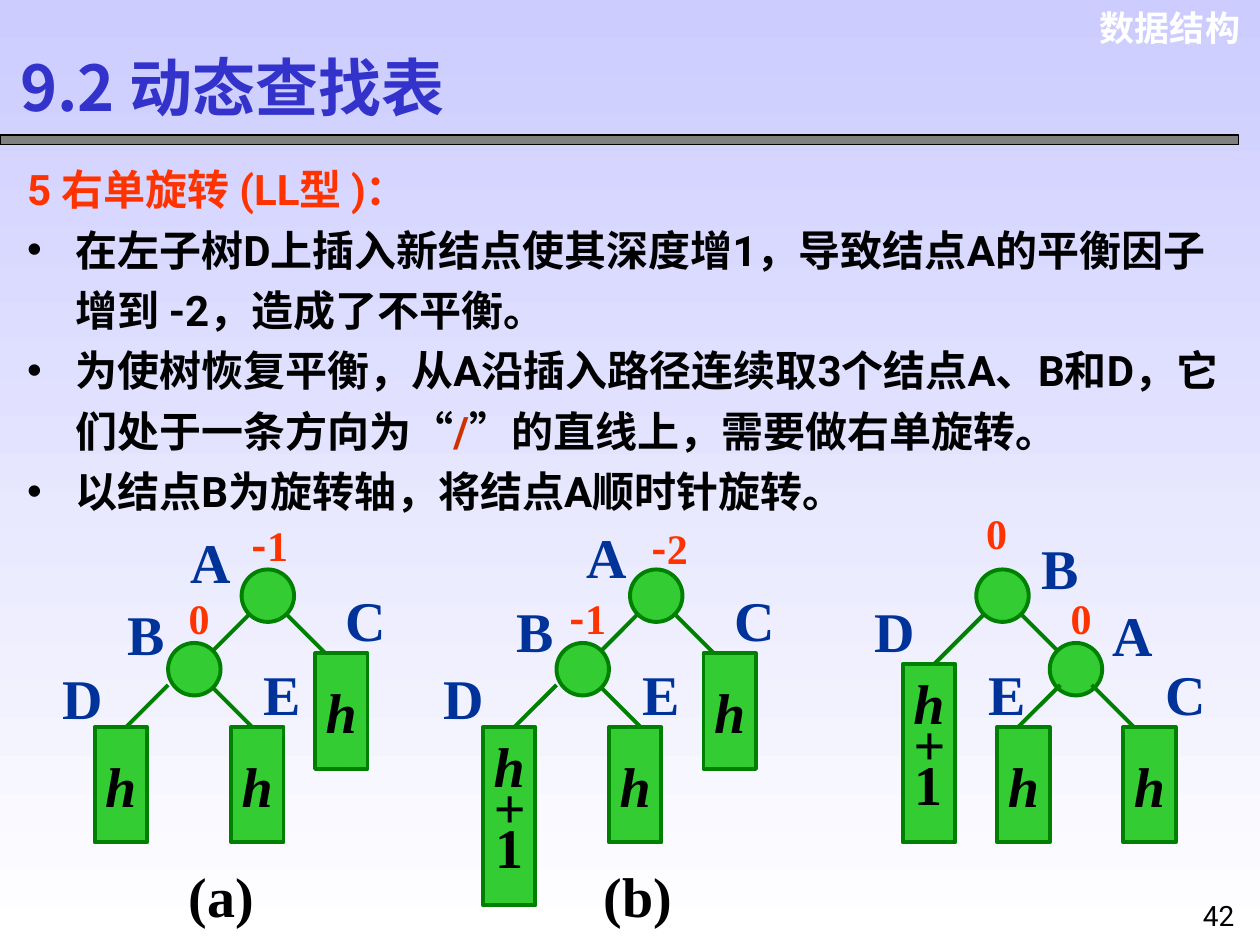
from collections import namedtuple
from dataclasses import dataclass

from lxml.etree import SubElement
from pptx import Presentation
from pptx.dml.color import RGBColor as RGB
from pptx.enum.shapes import MSO_CONNECTOR as Link, MSO_SHAPE as Kind
from pptx.enum.text import MSO_ANCHOR as Anchor, MSO_AUTO_SIZE as Fit, PP_ALIGN as Align
from pptx.oxml.ns import qn
from pptx.util import Cm, Pt


@dataclass(frozen=True)
class Theme:
    sky: str = "CCCCFF"
    white: str = "FFFFFF"
    black: str = "000000"
    title: str = "3333CC"
    bar: str = "808080"
    node: str = "33CC33"
    edge: str = "008000"
    name: str = "003399"
    alert: str = "FF3300"
    slash: str = "CC3300"
    sans: str = "Roboto"
    serif: str = "Times New Roman"
    han: str = "Noto Sans CJK SC"
    head: str = "Arial"
    big: int = 36
    mid: int = 32
    text: int = 24
    small: int = 20
    page: int = 16


T = Theme()
Box = namedtuple("Box", "x y w h")
Tree = namedtuple("Tree", "nodes leaves under over names marks")
UNIT = 2.54 / 12  # grid step of the trees, in cm
NODE = 5  # node and leaf width, in grid steps

# Nodes, leaves and links are in grid steps from the root's corner,
# names and marks in cm from the same corner.
TREES = (
    (Box(1.5, 10.11, 7.8, 8.2), Tree(
        nodes=[(0, 0), (-7, 7)],
        leaves=[(7, 8, "h"), (-14, 15, "h"), (-1, 15, "h")],
        under=[(3, 3, 9, 9), (2, 3, -3, 8), (-7, 11, -12, 16), (-3, 11, 3, 17)],
        over=[],
        names=[("A", -1.27, -0.97), ("B", -2.54, 0.48), ("C", 1.85, 0.2),
               ("D", -3.86, 1.78), ("E", 0.2, 1.7)],
        marks=[("-1", -0.05, -1.14), ("0", -1.32, 0.33)])),
    (Box(9.33, 10.11, 7.8, 8.2), Tree(
        nodes=[(0, 0), (-7, 7)],
        leaves=[(7, 8, "h"), (-14, 15, "h+1"), (-2, 15, "h")],
        under=[(4, 4, 10, 10), (1, 4, -4, 9), (-7, 11, -12, 16), (-3, 11, 3, 17)],
        over=[],
        names=[("A", -1.12, -1.07), ("B", -2.54, 0.43), ("C", 1.85, 0.2),
               ("D", -4.01, 1.78), ("E", 0, 1.7)],
        marks=[("-2", 0.18, -1.07), ("-1", -1.47, 0.33)])),
    (Box(16.31, 10.11, 7.8, 8.2), Tree(
        nodes=[(0, 0), (7, 7)],
        leaves=[(-7, 9, "h+1"), (2, 15, "h"), (14, 15, "h")],
        under=[(3, 3, 9, 9), (2, 3, -4, 9)],
        over=[(8, 11, 3, 16), (11, 11, 17, 17)],
        names=[("B", 1.07, -0.84), ("A", 2.49, 0.51), ("C", 3.56, 1.7),
               ("D", -2.31, 0.43), ("E", 0, 1.7)],
        marks=[("0", -0.05, -1.37), ("0", 1.65, 0.33)])),
)

POINTS = (
    ["在左子树D上插入新结点使其深度增1，导致结点A的平衡因子增到 -2，造成了不平衡。"],
    ["为使树恢复平衡，从A沿插入路径连续取3个结点A、B和D，它们处于一条方向为“", "/",
     "”的直线上，需要做右单旋转。"],
    ["以结点B为旋转轴，将结点A顺时针旋转。"],
)


def style(para, size, face, color, bold=True, italic=False):
    font = para.font
    font.size, font.name, font.bold, font.italic = Pt(size), face, bold, italic
    font.color.rgb = RGB.from_string(color)
    SubElement(font._element, qn("a:ea"), typeface=T.han)


def lengths(box):
    return [Cm(v) for v in box]


def label(slide, box, text, *look, wrap=False, align=Align.LEFT, bold=True):
    frame = slide.shapes.add_textbox(*lengths(box)).text_frame
    frame.word_wrap = wrap
    frame.auto_size = Fit.SHAPE_TO_FIT_TEXT
    para = frame.paragraphs[0]
    para.text, para.alignment = text, align
    style(para, *look, bold=bold)
    return para


def block(slide, kind, box, fill, line, width):
    shape = slide.shapes.add_shape(kind, *lengths(box))
    shape.shadow.inherit = False
    shape.fill.solid()
    shape.fill.fore_color.rgb = RGB.from_string(fill)
    shape.line.color.rgb = RGB.from_string(line)
    shape.line.width = Pt(width)
    return shape


def leaf(slide, box, text):
    shape = block(slide, Kind.RECTANGLE, box, T.node, T.edge, 2.25)
    frame = shape.text_frame
    frame.word_wrap = False
    frame.vertical_anchor = Anchor.MIDDLE
    for i, sign in enumerate(text):
        para = frame.add_paragraph() if i else frame.paragraphs[0]
        para.text, para.alignment = sign, Align.CENTER
        if len(text) > 1:
            para.line_spacing = 0.6
        style(para, T.mid, T.serif, T.black, italic=sign != "1")


def mark(slide, x, y, text):
    """Balance factor; its minus sign has its own font."""
    wide = len(text) > 1
    para = label(slide, Box(x, y, 1.6 if wide else 0.91, 1.27), "",
                 T.text, T.serif, T.alert, wrap=wide)
    for sign in text:
        run = para.add_run()
        run.text = sign
        run.font.name = T.han if sign == "-" else T.serif


def tree(slide, box, data):
    left = box.x + (box.w - NODE * UNIT) / 2
    top = box.y + 1.37

    def spot(x, y):
        return left + x * UNIT, top + y * UNIT

    def link(x1, y1, x2, y2):
        ends = lengths(spot(x1, y1) + spot(x2, y2))
        line = slide.shapes.add_connector(Link.STRAIGHT, *ends)
        line.line.color.rgb = RGB.from_string(T.edge)
        line.line.width = Pt(2.25)
        SubElement(line._element.spPr, qn("a:effectLst"))

    side = NODE * UNIT
    for ends in data.under:
        link(*ends)
    for x, y in data.nodes:
        block(slide, Kind.OVAL, Box(*spot(x, y), side, side), T.node, T.edge, 2.25)
    for ends in data.over:
        link(*ends)
    for x, y, text in data.leaves:
        tall = 17 if len(text) > 1 else 11
        leaf(slide, Box(*spot(x, y), side, tall * UNIT), text)
    for text, x, y in data.names:
        width = 1.24 if text in "BE" else 1.32
        label(slide, Box(left + x, top + y, width, 1.63), text, T.mid, T.serif, T.name)
    for text, x, y in data.marks:
        mark(slide, left + x, top + y, text)


def captions(slide, box):
    para = label(slide, box, "", T.mid, T.serif, T.black)
    props = para._p.get_or_add_pPr()
    tabs = props.makeelement(qn("a:tabLst"))
    props.insert(0, tabs)
    for stop in (8.36, 16.26):
        SubElement(tabs, qn("a:tab"), pos=str(Cm(stop)), algn="l")
    para.add_run().text = "(a)\t(b)\t(c)"


def header(slide, box):
    label(slide, Box(box.x + 21.77, box.y, 3.48, 1.12), "数据结构",
          T.small, T.head, T.white, wrap=True, align=Align.RIGHT)
    block(slide, Kind.RECTANGLE, Box(box.x, box.y + 2.72, 24.97, 0.2), T.bar, T.black, 0.75)
    title = slide.shapes.title
    title.left, title.top, title.width, title.height = lengths(
        Box(box.x + 0.15, box.y + 0.86, 9.86, 3.3))
    frame = title.text_frame
    frame.vertical_anchor, frame.auto_size = Anchor.TOP, Fit.NONE
    para = frame.paragraphs[0]
    para.text, para.alignment = "9.2 动态查找表", Align.LEFT
    style(para, T.big, T.han, T.title)


def body(slide, box):
    frame = slide.shapes.add_textbox(*lengths(box)).text_frame
    frame.word_wrap = True
    first = frame.paragraphs[0]
    first.text, first.line_spacing = "5 右单旋转 (LL型 )：", 1.2
    style(first, T.text, T.sans, T.alert)
    for point in POINTS:
        para = frame.add_paragraph()
        para.line_spacing = 1.2
        props = para._p.get_or_add_pPr()
        props.set("marL", str(Cm(0.97)))
        props.set("indent", str(Cm(-0.97)))
        SubElement(props, qn("a:buFont"), typeface="Arial")
        SubElement(props, qn("a:buChar"), char="•")
        style(para, T.text, T.sans, T.black)
        for text in point:
            run = para.add_run()
            run.text = text
            if text == "/":
                run.font.color.rgb = RGB.from_string(T.slash)


def main():
    deck = Presentation()
    deck.slide_width, deck.slide_height = Cm(25.4), Cm(19.05)
    slide = deck.slides.add_slide(deck.slide_layouts[5])
    fill = slide.background.fill
    fill.gradient()
    fill.gradient_angle = 270
    for stop, color in zip(fill.gradient_stops, (T.sky, T.white)):
        stop.color.rgb = RGB.from_string(color)
    header(slide, Box(0, 0, 25.4, 2.92))
    body(slide, Box(0.3, 2.97, 24.82, 7.98))
    for box, data in TREES:
        tree(slide, box, data)
    captions(slide, Box(3.56, 17.25, 18.01, 1.63))
    label(slide, Box(23.93, 17.98, 1.27, 1.07), "42", T.page, T.sans, T.black,
          wrap=True, align=Align.CENTER, bold=False)
    deck.save("out.pptx")


if __name__ == "__main__":
    main()
